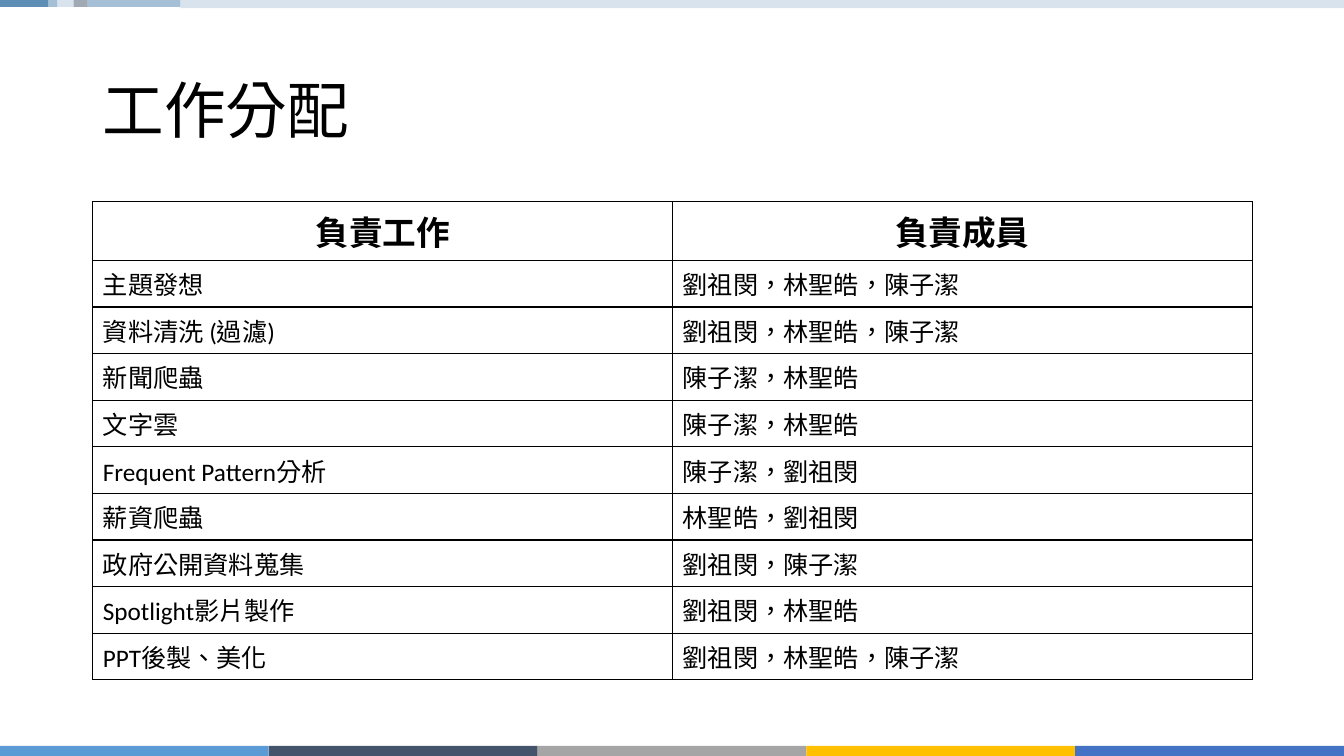
from lxml import etree
from pptx import Presentation
from pptx.dml.color import RGBColor
from pptx.enum import lang, shapes, text
from pptx.oxml import ns
from pptx.util import Inches, Pt

SLIDE_W, SLIDE_H = 13.33, 7.5
BLACK = "000000"
FOOTER_COLORS = ["5B9BD5", "44546A", "A5A5A5", "FFC000", "4472C4"]
# Header segments: width, height, colour, opacity in percent
HEADER_SEGMENTS = [
    (0.48, 0.07, "4D81AF", 90),
    (0.09, 0.07, "4D81AF", 50),
    (0.16, 0.07, "B2C9DC", 50),
    (0.14, 0.07, "44546A", 50),
    (0.92, 0.07, "4D81AF", 50),
    (11.54, 0.08, "B2C9DC", 50),
]
DUTIES = [
    ("負責工作", "負責成員"),
    ("主題發想", "劉祖閔，林聖皓，陳子潔"),
    ("資料清洗 (過濾)", "劉祖閔，林聖皓，陳子潔"),
    ("新聞爬蟲", "陳子潔，林聖皓"),
    ("文字雲", "陳子潔，林聖皓"),
    ("Frequent Pattern分析", "陳子潔，劉祖閔"),
    ("薪資爬蟲", "林聖皓，劉祖閔"),
    ("政府公開資料蒐集", "劉祖閔，陳子潔"),
    ("Spotlight影片製作", "劉祖閔，林聖皓"),
    ("PPT後製、美化", "劉祖閔，林聖皓，陳子潔"),
]


def color(hex_string):
    return RGBColor.from_string(hex_string)


def add_bar(slide, left, top, width, height, fill, opacity=100):
    bar = slide.shapes.add_shape(
        shapes.MSO_SHAPE.RECTANGLE,
        Inches(left), Inches(top), Inches(width), Inches(height))
    bar.shadow.inherit = False
    bar.line.fill.background()
    bar.fill.solid()
    bar.fill.fore_color.rgb = color(fill)
    if opacity < 100:
        srgb = bar.fill._xPr.find(".//" + ns.qn("a:srgbClr"))
        etree.SubElement(srgb, ns.qn("a:alpha"), val=str(opacity * 1000))


def write(paragraph, words, size, font="Calibri", bold=False):
    run = paragraph.add_run()
    run.text = words
    run.font.language_id = lang.MSO_LANGUAGE_ID.TRADITIONAL_CHINESE
    paragraph.font.name = font
    paragraph.font.size = Pt(size)
    paragraph.font.bold = bold
    paragraph.font.color.rgb = color(BLACK)


def add_header(slide, left, top):
    for width, height, fill, opacity in HEADER_SEGMENTS:
        add_bar(slide, left, top, width, height, fill, opacity)
        left += width


def add_footer(slide, left, top, width, height):
    step = width / len(FOOTER_COLORS)
    for i, fill in enumerate(FOOTER_COLORS):
        add_bar(slide, left + i * step, top, step, height, fill)


def add_title(slide, left, top, width, height):
    title = slide.shapes.add_textbox(
        Inches(left), Inches(top), Inches(width), Inches(height))
    frame = title.text_frame
    frame.word_wrap = True
    frame.vertical_anchor = text.MSO_ANCHOR.MIDDLE
    frame.paragraphs[0].line_spacing = 0.9
    write(frame.paragraphs[0], "工作分配", 44)


def outline_cell(cell):
    properties = cell._tc.get_or_add_tcPr()
    for side in ("lnL", "lnR", "lnT", "lnB"):
        border = etree.SubElement(properties, ns.qn("a:" + side), w=str(Pt(1)))
        solid = etree.SubElement(border, ns.qn("a:solidFill"))
        etree.SubElement(solid, ns.qn("a:srgbClr"), val=BLACK)
    cell.fill.background()


def add_duties(slide, left, top, width, height):
    duties = slide.shapes.add_table(
        len(DUTIES), 2,
        Inches(left), Inches(top), Inches(width), Inches(height)).table
    duties.first_row = False
    duties.horz_banding = False
    for r, row in enumerate(DUTIES):
        for c, words in enumerate(row):
            cell = duties.cell(r, c)
            outline_cell(cell)
            paragraph = cell.text_frame.paragraphs[0]
            if r == 0:
                paragraph.alignment = text.PP_ALIGN.CENTER
                write(paragraph, words, 24, "Noto Sans CJK SC", True)
            else:
                write(paragraph, words, 18)


def main():
    deck = Presentation()
    deck.slide_width, deck.slide_height = Inches(SLIDE_W), Inches(SLIDE_H)
    slide = deck.slides.add_slide(deck.slide_layouts[6])
    # Colour bands along the edges
    add_footer(slide, 0, SLIDE_H - 0.1, SLIDE_W, 0.1)
    add_header(slide, 0, 0)
    # Title and table of duties
    add_duties(slide, 0.92, 2, 11.5, 4.15)
    add_title(slide, 0.92, 0.4, 11.5, 1.45)
    deck.save("out.pptx")


if __name__ == "__main__":
    main()
